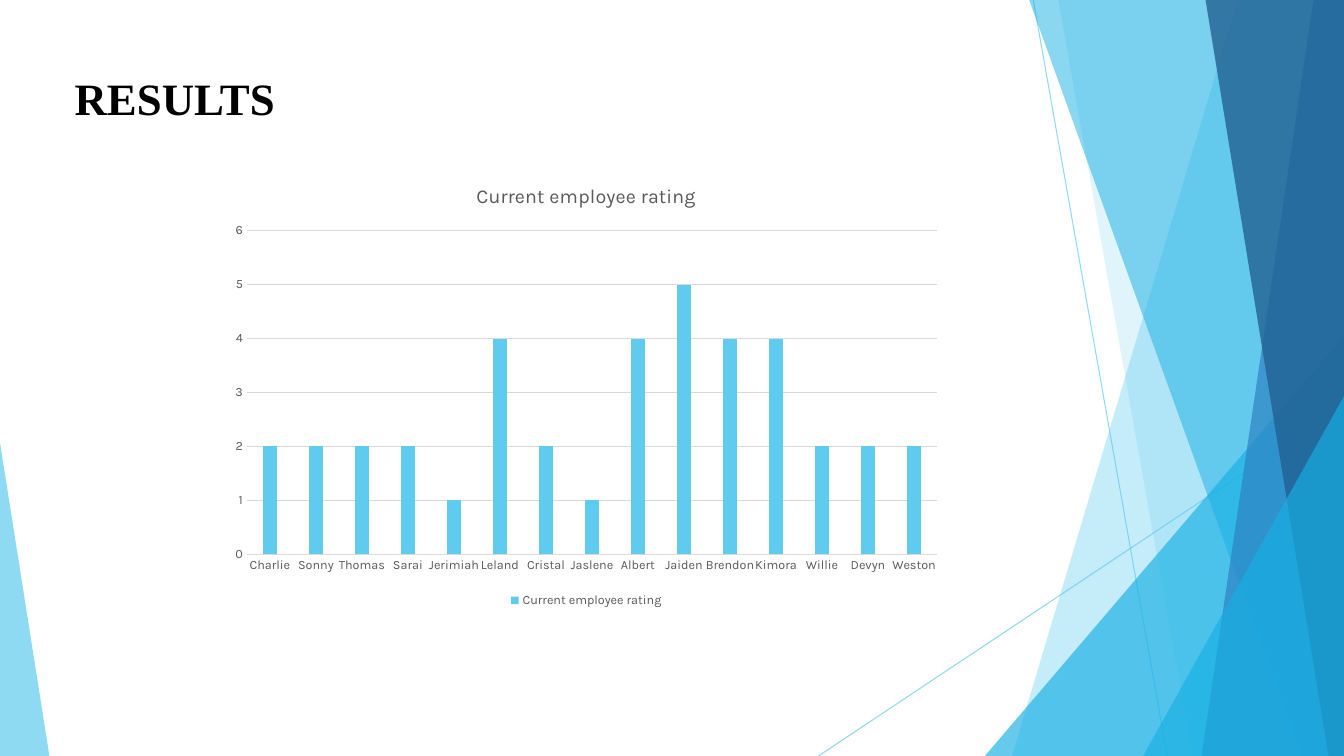
"""Build the results slide: an employee rating chart between faceted blue edges."""
from lxml.etree import SubElement
from pptx import Presentation
from pptx.chart.data import CategoryChartData
from pptx.dml.color import RGBColor
from pptx.enum.chart import XL_CHART_TYPE, XL_LEGEND_POSITION, XL_TICK_MARK
from pptx.enum.shapes import MSO_CONNECTOR, MSO_SHAPE
from pptx.enum.text import MSO_ANCHOR, PP_ALIGN
from pptx.oxml.ns import qn
from pptx.util import Inches, Pt

WIDTH, HEIGHT = Inches(13.333), Inches(7.5)
SKY, AZURE, BLUE, NAVY = "5FCBEF", "17B0E4", "2E83C3", "226292"
GRAY, PALE = "595959", "D9D9D9"
RATINGS = {
    "Charlie": 2, "Sonny": 2, "Thomas": 2, "Sarai": 2, "Jerimiah": 1,
    "Leland": 4, "Cristal": 2, "Jaslene": 1, "Albert": 4, "Jaiden": 5,
    "Brendon": 4, "Kimora": 4, "Willie": 2, "Devyn": 2, "Weston": 2,
}


def across(percent):
    """Return a percentage of the slide width."""
    return round(WIDTH * percent / 100)


def down(percent):
    """Return a percentage of the slide height."""
    return round(HEIGHT * percent / 100)


def place(left, top, width, height):
    """Return a frame given in percentages of the slide."""
    return across(left), down(top), across(width), down(height)


def paint(target, color):
    """Give a fill one solid colour."""
    target.solid()
    target.fore_color.rgb = RGBColor.from_string(color)


def set_opacity(shape, percent):
    """Make every colour of a shape partly transparent."""
    for color in shape._element.spPr.iter(qn("a:srgbClr")):
        SubElement(color, qn("a:alpha"), val=str(percent * 1000))


def style_facet(shape, color, opacity):
    """Fill a decorative shape without outline or shadow."""
    shape.shadow.inherit = False
    paint(shape.fill, color)
    shape.line.fill.background()
    set_opacity(shape, opacity)


def add_band(page, top_x, bottom_x, color, opacity):
    """Add a full-height band from a slanted edge to the right side."""
    builder = page.shapes.build_freeform(across(top_x), 0)
    builder.add_line_segments(
        [(WIDTH, 0), (WIDTH, HEIGHT), (across(bottom_x), HEIGHT)])
    style_facet(builder.convert_to_shape(), color, opacity)


def add_corner(page, left, top, width, peak, color, opacity):
    """Add a triangle standing on the bottom edge."""
    shape = page.shapes.add_shape(
        MSO_SHAPE.ISOSCELES_TRIANGLE, *place(left, top, width, 100 - top))
    shape.adjustments[0] = peak
    style_facet(shape, color, opacity)


def add_ray(page, start_x, start_y, end_x):
    """Add a thin line that runs down to the bottom edge."""
    ray = page.shapes.add_connector(
        MSO_CONNECTOR.STRAIGHT, across(start_x), down(start_y),
        across(end_x), HEIGHT)
    paint(ray.line.fill, SKY)
    ray.line.width = Pt(0.75)
    set_opacity(ray, 70)
    SubElement(ray._element.spPr, qn("a:effectLst"))


def set_font(font, size, color, name="Karla", bold=False):
    """Set the typeface, size, colour and weight of a font."""
    font.name, font.size, font.bold = name, Pt(size), bold
    paint(font.fill, color)


def write(frame, text, **format):
    """Write one formatted line into a text frame."""
    para = frame.paragraphs[0]
    span = para.add_run()
    span.text = text
    set_font(span.font, **format)
    return para


def add_title(page, text):
    """Move the title placeholder and write the heading."""
    box = page.shapes.title
    box.left, box.top, box.width, box.height = place(4.8, 8.67, 56.93, 8.53)
    box.text_frame.vertical_anchor = MSO_ANCHOR.MIDDLE
    para = write(box.text_frame, text, size=32, color="000000",
                 name="Times New Roman", bold=True)
    para.alignment = PP_ALIGN.LEFT


def style_axis(axis):
    """Give an axis small gray labels and no tick marks."""
    axis.major_tick_mark = axis.minor_tick_mark = XL_TICK_MARK.NONE
    set_font(axis.tick_labels.font, 9, GRAY)


def style_line(line):
    """Make a chart line thin and pale."""
    paint(line.fill, PALE)
    line.width = Pt(0.75)


def add_rating_chart(page, name, ratings):
    """Add the column chart of ratings per employee."""
    data = CategoryChartData(number_format="General")
    data.categories = list(ratings)
    data.add_series(name, list(ratings.values()))
    chart = page.shapes.add_chart(
        XL_CHART_TYPE.COLUMN_CLUSTERED,
        *place(16.43, 21.87, 54.38, 59.07), data).chart
    set_font(chart.font, 10, "000000")
    chart.has_title = True
    write(chart.chart_title.text_frame, name, size=14, color=GRAY)
    chart.chart_title.include_in_layout = False
    chart.has_legend = True
    chart.legend.position = XL_LEGEND_POSITION.BOTTOM
    chart.legend.include_in_layout = False
    set_font(chart.legend.font, 9, GRAY)
    names, values = chart.category_axis, chart.value_axis
    style_axis(names)
    style_axis(values)
    style_line(names.format.line)
    style_line(values.major_gridlines.format.line)
    values.format.line.fill.background()
    values.minimum_scale, values.maximum_scale, values.major_unit = 0, 6, 1
    plot = chart.plots[0]
    plot.gap_width, plot.overlap, plot.vary_by_categories = 219, -27, False
    paint(plot.series[0].format.fill, SKY)


def add_decoration(page):
    """Add the faceted edges from back to front."""
    add_ray(page, 76.88, 0, 86.85)
    add_ray(page, 100, 53.73, 60.9)
    add_band(page, 92.1, 75.3, SKY, 36)
    add_band(page, 78.75, 88.73, SKY, 20)
    add_corner(page, 73.28, 44.4, 26.72, 1, AZURE, 66)
    add_band(page, 76.58, 96.83, AZURE, 50)
    add_band(page, 97.73, 89.4, BLUE, 70)
    add_band(page, 89.7, 98.85, NAVY, 80)
    add_corner(page, 85.05, 52.4, 14.95, 1, AZURE, 66)
    add_corner(page, 0, 58.53, 3.68, 0, SKY, 70)


def main():
    """Build and save the deck."""
    deck = Presentation()
    deck.slide_width, deck.slide_height = WIDTH, HEIGHT
    page = deck.slides.add_slide(deck.slide_layouts.get_by_name("Title Only"))
    paint(page.background.fill, "FFFFFF")
    add_decoration(page)
    add_title(page, "RESULTS")
    add_rating_chart(page, "Current employee rating", RATINGS)
    deck.save("out.pptx")


if __name__ == "__main__":
    main()
